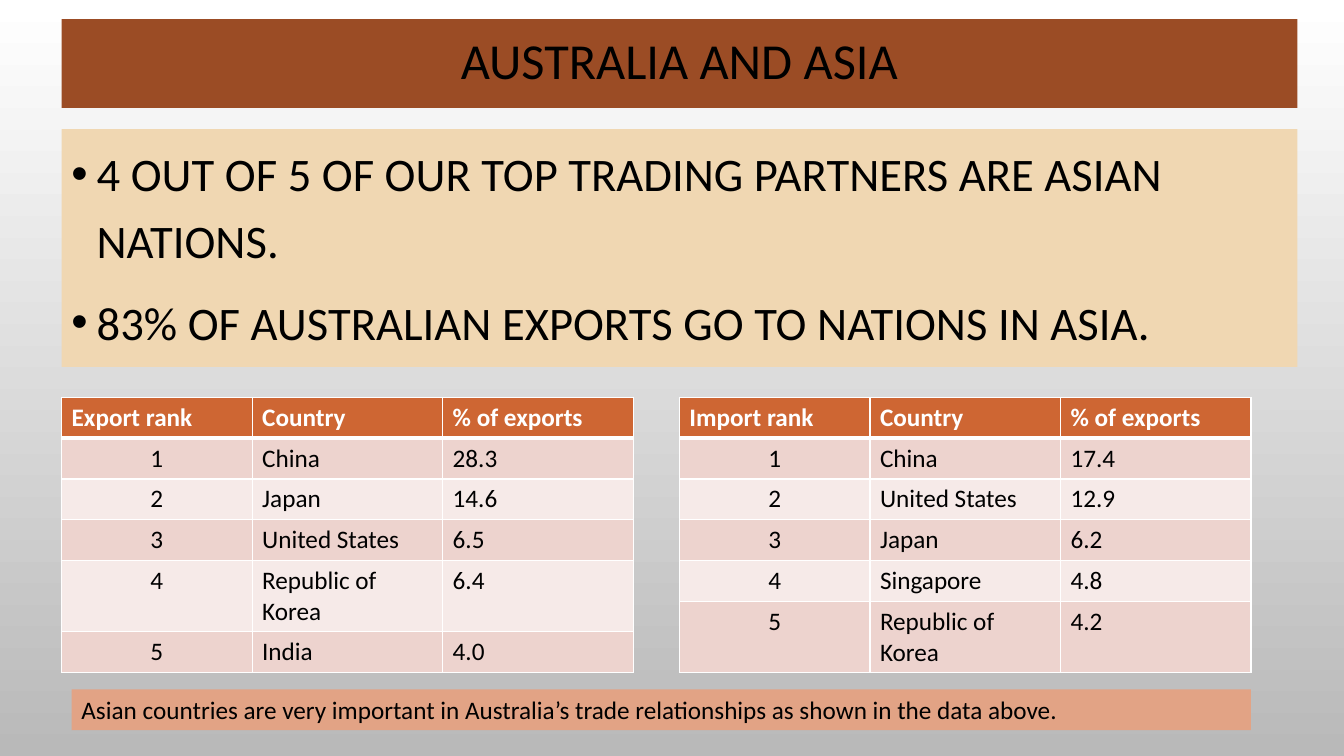
from lxml.etree import SubElement
from pptx import Presentation
from pptx.dml.color import RGBColor
from pptx.enum.text import MSO_ANCHOR as Anchor, MSO_AUTO_SIZE as AutoSize, PP_ALIGN as Align
from pptx.oxml.ns import qn
from pptx.util import Pt

LEFT, BANNER_WIDTH = 44, 882.7
TABLE_TOP, COLUMN_WIDTH, ROW_HEIGHT = 283.7, 136.1, 29.2
BLACK, WHITE = "000000", "FFFFFF"
HEADER_FILL, BAND_FILLS = "CE6633", ("EDD3CE", "F6EAE8")

EXPORTS = [
    ("Export rank", "Country", "% of exports"),
    ("1", "China", "28.3"),
    ("2", "Japan", "14.6"),
    ("3", "United States", "6.5"),
    ("4", "Republic of Korea", "6.4"),
    ("5", "India", "4.0"),
]
IMPORTS = [
    ("Import rank", "Country", "% of exports"),
    ("1", "China", "17.4"),
    ("2", "United States", "12.9"),
    ("3", "Japan", "6.2"),
    ("4", "Singapore", "4.8"),
    ("5", "Republic of Korea", "4.2"),
]
FACTS = [
    "4 OUT OF 5 OF OUR TOP TRADING PARTNERS ARE ASIAN NATIONS.",
    "83% OF AUSTRALIAN EXPORTS GO TO NATIONS IN ASIA.",
]
CONCLUSION = ("Asian countries are very important in Australia’s trade "
              "relationships as shown in the data above.")


def rgb(color):
    """Turn a hex string into a colour."""
    return RGBColor.from_string(color)


def fill_solid(target, color):
    """Fill a shape or a cell with one colour."""
    target.fill.solid()
    target.fill.fore_color.rgb = rgb(color)


def format_text(paragraph, size, color=BLACK, bold=False, **layout):
    """Set the font and the paragraph layout."""
    font_values = {"name": "Calibri", "size": Pt(size), "bold": bold}
    for part, values in ((paragraph, layout), (paragraph.font, font_values)):
        for name, value in values.items():
            setattr(part, name, value)
    paragraph.font.color.rgb = rgb(color)


def add_bullet(paragraph):
    """Give a paragraph a black bullet with a hanging indent."""
    properties = paragraph._p.get_or_add_pPr()
    properties.set("marL", str(Pt(18)))
    properties.set("indent", str(-Pt(18)))
    bullet_color = SubElement(properties, qn("a:buClr"))
    SubElement(bullet_color, qn("a:srgbClr"), val=BLACK)
    SubElement(properties, qn("a:buFont"), typeface="Arial")
    SubElement(properties, qn("a:buChar"), char="•")


def add_panel(slide, left, top, width, height, color):
    """Add a filled text box and return its text frame."""
    panel = slide.shapes.add_textbox(Pt(left), Pt(top), Pt(width), Pt(height))
    fill_solid(panel, color)
    panel.text_frame.word_wrap = True
    return panel.text_frame


def set_background(slide):
    """Fade the slide from white at the top to grey."""
    fill = slide.background.fill
    fill.gradient()
    fill.gradient_angle = 270
    for stop, position, color in zip(fill.gradient_stops, (0, 1), (WHITE, "B9B9B9")):
        stop.position = position
        stop.color.rgb = rgb(color)


def set_title(slide):
    """Place the title placeholder as a brown banner."""
    title = slide.shapes.title
    bounds = {"left": LEFT, "top": 13.7, "width": BANNER_WIDTH, "height": 63.4}
    for name, value in bounds.items():
        setattr(title, name, Pt(value))
    fill_solid(title, "9B4C25")
    frame = title.text_frame
    frame.text = "AUSTRALIA AND ASIA"
    frame.auto_size = AutoSize.NONE
    frame.vertical_anchor = Anchor.MIDDLE
    format_text(frame.paragraphs[0], 36, alignment=Align.CENTER, line_spacing=0.9)


def add_facts(slide):
    """Add the panel with the bulleted trade facts."""
    frame = add_panel(slide, LEFT, 92.2, BANNER_WIDTH, 169.9, "F0D7B2")
    for index, fact in enumerate(FACTS):
        paragraph = frame.add_paragraph() if index else frame.paragraphs[0]
        paragraph.text = fact
        add_bullet(paragraph)
        format_text(paragraph, 33.3, line_spacing=1.2, space_before=Pt(10 if index else 0))


def set_borders(cell, is_header):
    """Draw white borders, with a thick rule under the header."""
    widths = {"a:lnL": 1, "a:lnR": 1, "a:lnT": 1, "a:lnB": 3} if is_header else {
        "a:lnL": 1, "a:lnR": 1, "a:lnB": 1}
    properties = cell._tc.get_or_add_tcPr()
    for side, width in widths.items():
        line = SubElement(properties, qn(side), w=str(Pt(width)))
        line_fill = SubElement(line, qn("a:solidFill"))
        SubElement(line_fill, qn("a:srgbClr"), val=WHITE)


def add_rank_table(slide, left, rows):
    """Add a banded table of ranked trading partners."""
    columns = len(rows[0])
    table = slide.shapes.add_table(
        len(rows), columns, Pt(left), Pt(TABLE_TOP),
        Pt(COLUMN_WIDTH * columns), Pt(ROW_HEIGHT * len(rows))).table
    for row_index, row in enumerate(rows):
        is_header = row_index == 0
        for column_index, value in enumerate(row):
            cell = table.cell(row_index, column_index)
            cell.text = value
            set_borders(cell, is_header)
            fill_solid(cell, HEADER_FILL if is_header else BAND_FILLS[(row_index - 1) % 2])
            is_rank = column_index == 0 and not is_header
            format_text(cell.text_frame.paragraphs[0], 18,
                        WHITE if is_header else BLACK, is_header,
                        alignment=Align.CENTER if is_rank else Align.LEFT)


def add_conclusion(slide):
    """Add the closing statement below the tables."""
    frame = add_panel(slide, 51.1, 492.5, 842.4, 29.1, "E2A385")
    frame.auto_size = AutoSize.SHAPE_TO_FIT_TEXT
    frame.text = CONCLUSION
    format_text(frame.paragraphs[0], 18)


def main():
    """Build the slide and save it."""
    deck = Presentation()
    deck.slide_width, deck.slide_height = Pt(960), Pt(540)
    slide = deck.slides.add_slide(deck.slide_layouts[5])
    set_background(slide)
    set_title(slide)
    add_facts(slide)
    add_rank_table(slide, LEFT, EXPORTS)
    add_rank_table(slide, 485.3, IMPORTS)
    add_conclusion(slide)
    deck.save("out.pptx")


if __name__ == "__main__":
    main()
